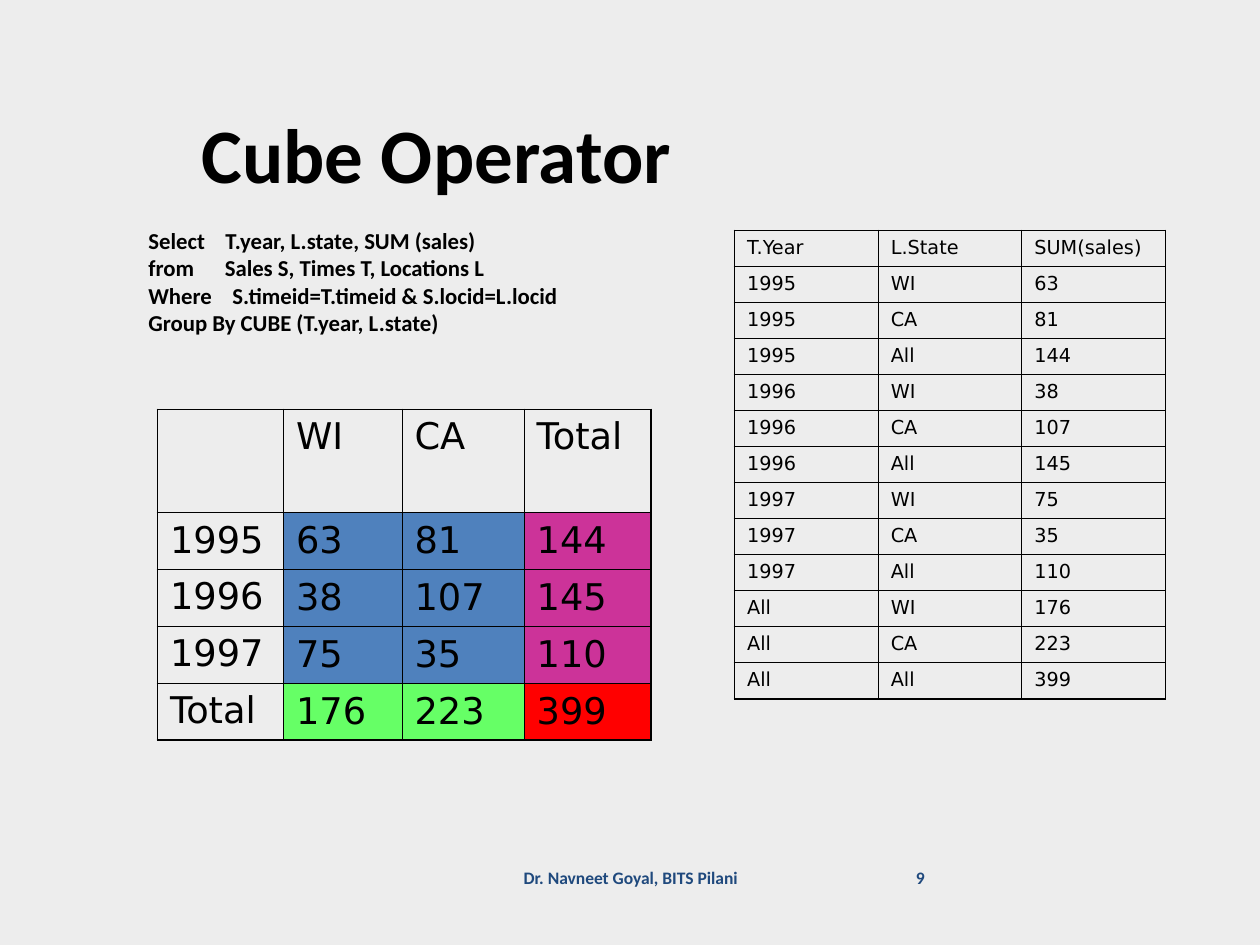
from dataclasses import dataclass
from typing import Optional, Sequence

import lxml.etree
import pptx
import pptx.dml.color
import pptx.enum.text
import pptx.oxml.ns
import pptx.util

Inches = pptx.util.Inches
Pt = pptx.util.Pt
RGBColor = pptx.dml.color.RGBColor
Anchor = pptx.enum.text.MSO_ANCHOR
Align = pptx.enum.text.PP_ALIGN

BACKGROUND = RGBColor(0xED, 0xED, 0xED)
BLACK = RGBColor(0x00, 0x00, 0x00)
NAVY = RGBColor(0x1F, 0x49, 0x7D)
BLUE = RGBColor(0x4F, 0x81, 0xBD)
MAGENTA = RGBColor(0xCC, 0x33, 0x99)
GREEN = RGBColor(0x66, 0xFF, 0x66)
RED = RGBColor(0xFF, 0x00, 0x00)

INNER_LINE, OUTER_LINE = Pt(0.45), Pt(1.08)

YEARS = ("1995", "1996", "1997")
STATES = ("WI", "CA")
SALES = ((63, 81), (38, 107), (75, 35))
QUERY = """Select    T.year, L.state, SUM (sales)
from      Sales S, Times T, Locations L
Where    S.timeid=T.timeid & S.locid=L.locid
Group By CUBE (T.year, L.state)"""


@dataclass
class Grid:
    left: float
    top: float
    columns: Sequence[float]
    rows: Sequence[float]
    size: float
    values: Sequence[Sequence[str]]
    fills: Sequence[Sequence[Optional[RGBColor]]]


def write(frame, text: str, *, size: float, font: str = "Calibri",
          color: RGBColor = BLACK, bold: bool = False,
          align=Align.LEFT, anchor=Anchor.TOP) -> None:
    """Fill a text frame, one paragraph for each line of text."""
    frame.word_wrap = True
    frame.vertical_anchor = anchor
    for index, line in enumerate(text.split("\n")):
        para = frame.paragraphs[0] if index == 0 else frame.add_paragraph()
        para.alignment = align
        span = para.add_run()
        span.text = line
        span.font.name = font
        span.font.size = Pt(size)
        span.font.bold = bold
        span.font.color.rgb = color


def add_text(page, text: str, left: float, top: float, width: float,
             height: float, **style) -> None:
    box = page.shapes.add_textbox(Inches(left), Inches(top),
                                  Inches(width), Inches(height))
    write(box.text_frame, text, **style)


def set_border(cell, side: str, width: int) -> None:
    qn = pptx.oxml.ns.qn
    properties = cell._tc.get_or_add_tcPr()
    line = lxml.etree.SubElement(properties, qn("a:ln" + side), w=str(width))
    fill = lxml.etree.SubElement(line, qn("a:solidFill"))
    lxml.etree.SubElement(fill, qn("a:srgbClr"), val=str(BLACK))


def add_grid(page, grid: Grid) -> None:
    last_row, last_column = len(grid.rows) - 1, len(grid.columns) - 1
    table = page.shapes.add_table(
        len(grid.rows), len(grid.columns), Inches(grid.left), Inches(grid.top),
        Inches(sum(grid.columns)), Inches(sum(grid.rows))).table
    table.first_row = table.horz_banding = False
    for column, width in zip(table.columns, grid.columns):
        column.width = Inches(width)
    for row, height in zip(table.rows, grid.rows):
        row.height = Inches(height)

    for r, values in enumerate(grid.values):
        for c, value in enumerate(values):
            cell = table.cell(r, c)
            outer = {"L": c == 0, "R": c == last_column,
                     "T": r == 0, "B": r == last_row}
            for side, on_edge in outer.items():
                set_border(cell, side, OUTER_LINE if on_edge else INNER_LINE)
            color = grid.fills[r][c]
            if color is None:
                cell.fill.background()
            else:
                cell.fill.solid()
                cell.fill.fore_color.rgb = color
            if value:
                write(cell.text_frame, value, size=grid.size, font="DejaVu Sans")
            cell.vertical_anchor = Anchor.TOP if color is None else Anchor.MIDDLE


def main() -> None:
    deck = pptx.Presentation()
    deck.slide_width, deck.slide_height = Inches(10), Inches(7.5)
    page = deck.slides.add_slide(deck.slide_layouts[5])
    page.background.fill.solid()
    page.background.fill.fore_color.rgb = BACKGROUND

    # Title and query
    title = page.shapes.title
    title.left, title.top = Inches(1.5), Inches(0.33)
    title.width, title.height = Inches(8), Inches(1.25)
    title.text_frame.margin_bottom = 0
    write(title.text_frame, "Cube Operator", size=44, bold=True,
          anchor=Anchor.BOTTOM)
    add_text(page, QUERY, 1.08, 1.75, 5, 1.59, size=13, bold=True)

    # Sales with a total for each year, each state and overall
    totals = [(*sales, sum(sales)) for sales in SALES]
    totals.append(tuple(sum(column) for column in zip(*totals)))
    labels = (*YEARS, "Total")
    cross_values = [("", *STATES, "Total")]
    cross_values += [(label, *map(str, row)) for label, row in zip(labels, totals)]
    cross_fills = [[None] * 4]
    cross_fills += [[None, BLUE, BLUE, MAGENTA] for _ in YEARS]
    cross_fills.append([None, GREEN, GREEN, RED])
    add_grid(page, Grid(1.25, 3.25, (1, 0.94, 0.97, 1.01),
                        (0.82, *[0.45] * 4), 21, cross_values, cross_fills))

    # The same figures as rows of the query result
    result_values = [("T.Year", "L.State", "SUM(sales)")]
    for year, row in zip((*YEARS, "All"), totals):
        for state, amount in zip((*STATES, "All"), row):
            result_values.append((year, state, str(amount)))
    count = len(result_values)
    add_grid(page, Grid(5.83, 1.83, [1.14] * 3, [3.72 / count] * count, 11,
                        result_values, [[None] * 3] * count))

    # Footer
    add_text(page, "Dr. Navneet Goyal, BITS Pilani", 3.42, 6.83, 3.17, 0.52,
             size=10, color=NAVY, bold=True, align=Align.CENTER)
    add_text(page, "9", 7.17, 6.83, 2.33, 0.52, size=10, color=NAVY, bold=True)

    deck.save("out.pptx")


if __name__ == "__main__":
    main()
